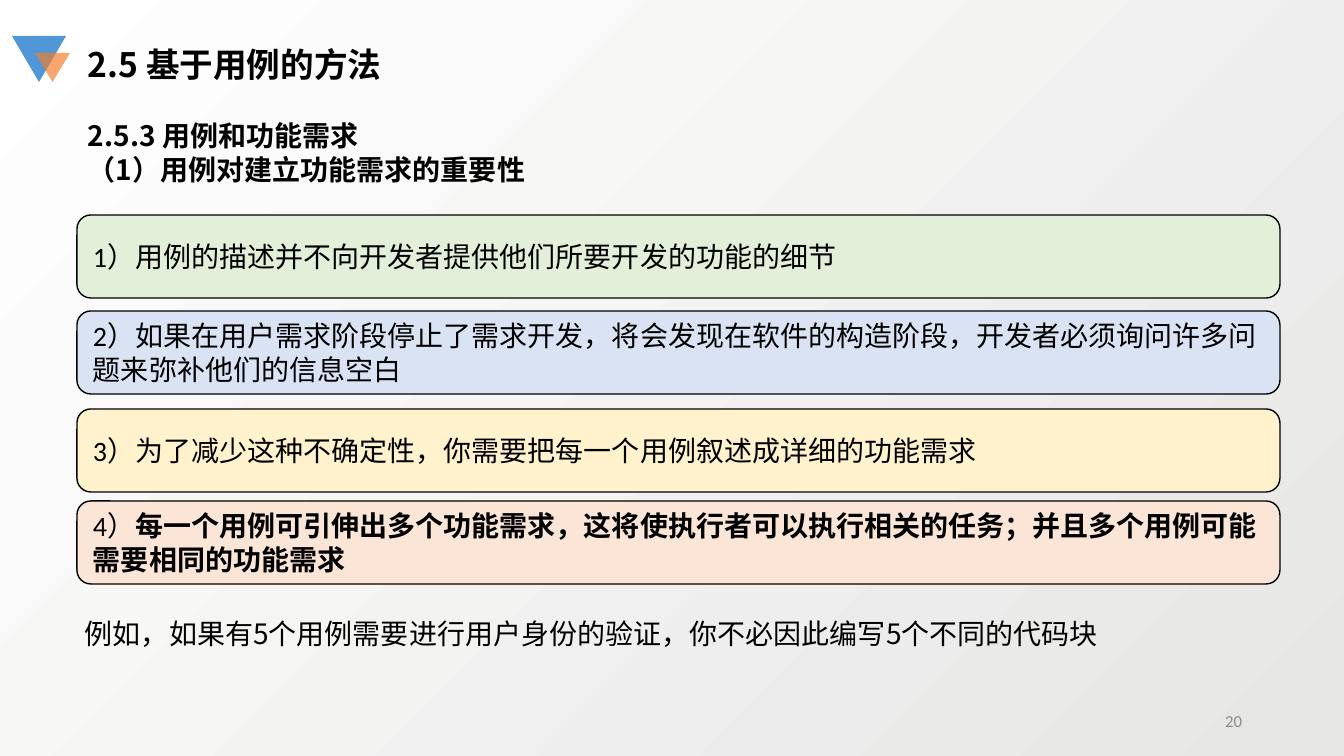
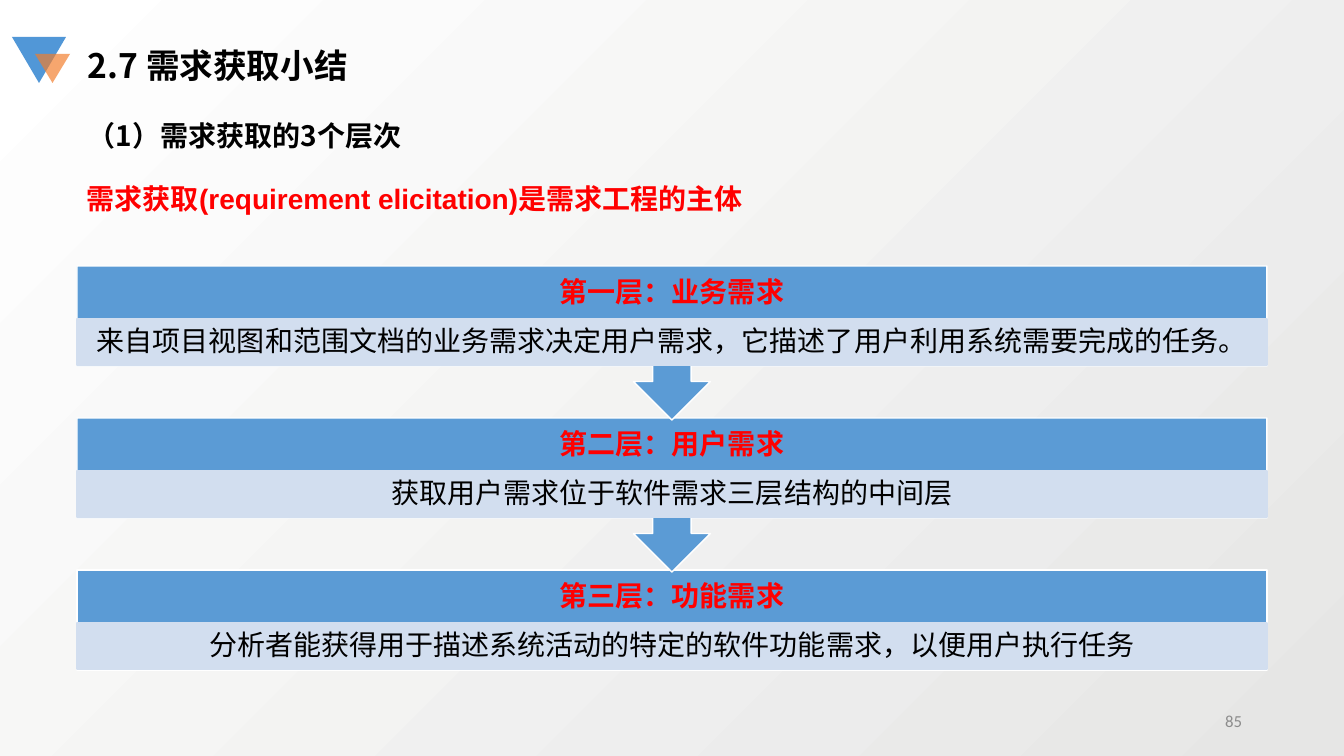
import pptx
import pptx.dml.color
import pptx.enum.shapes
import pptx.enum.text
import pptx.oxml.ns
import pptx.util
from lxml import etree

SLIDE_WIDTH, SLIDE_HEIGHT = 1344, 756
EMU_PER_PX = 12192000 / SLIDE_WIDTH

COLORS = {
    "black": "000000",
    "red": "FF0000",
    "white": "FFFFFF",
    "gray": "8C8C8C",
    "backdrop": "E6E6E5",
    "logo_blue": "5197D7",
    "logo_orange": "F37D2A",
    "green": "E2F0D9",
    "blue": "DAE3F3",
    "yellow": "FFF2CC",
    "peach": "FBE5D6",
    "layer": "5B9BD5",
    "band": "D2DEEF",
}
CJK_FONT = "Noto Sans CJK SC"
SHAPES = pptx.enum.shapes.MSO_SHAPE
ALIGN = pptx.enum.text.PP_ALIGN
MIDDLE = pptx.enum.text.MSO_ANCHOR.MIDDLE

POINTS = [
    (215, "green", "1）用例的描述并不向开发者提供他们所要开发的功能的细节", ""),
    (311, "blue", "2）如果在用户需求阶段停止了需求开发，将会发现在软件的构造阶段，"
     "开发者必须询问许多问题来弥补他们的信息空白", ""),
    (409, "yellow", "3）为了减少这种不确定性，你需要把每一个用例叙述成详细的功能需求", ""),
    (501, "peach", "4）", "每一个用例可引伸出多个功能需求，这将使执行者可以执行相关的任务；"
     "并且多个用例可能需要相同的功能需求"),
]
LAYERS = [
    ("第一层：业务需求", "来自项目视图和范围文档的业务需求决定用户需求，它描述了用户利用系统需要完成的任务。"),
    ("第二层：用户需求", "获取用户需求位于软件需求三层结构的中间层"),
    ("第三层：功能需求", "分析者能获得用于描述系统活动的特定的软件功能需求，以便用户执行任务"),
]


def px(length):
    return pptx.util.Emu(round(length * EMU_PER_PX))


def rgb(name):
    return pptx.dml.color.RGBColor.from_string(COLORS[name])


def style_paragraph(para, size=20, font=CJK_FONT, color="black", bold=False,
                    align=ALIGN.LEFT, spacing=None):
    para.alignment = align
    if spacing:
        para.line_spacing = spacing
    para.font.size = pptx.util.Pt(size)
    para.font.bold = bold
    para.font.color.rgb = rgb(color)
    para.font.name = font
    defaults = para._p.pPr.find(pptx.oxml.ns.qn("a:defRPr"))
    etree.SubElement(defaults, pptx.oxml.ns.qn("a:ea"), typeface=CJK_FONT)


def set_frame(frame, insets=None, anchor=None):
    frame.word_wrap = True
    if anchor is not None:
        frame.vertical_anchor = anchor
    if insets:
        (frame.margin_left, frame.margin_top,
         frame.margin_right, frame.margin_bottom) = map(px, insets)


def add_text(page, area, lines, anchor=None, **style):
    frame = page.shapes.add_textbox(*map(px, area)).text_frame
    set_frame(frame, anchor=anchor)
    for index, line in enumerate(lines):
        para = frame.add_paragraph() if index else frame.paragraphs[0]
        para.add_run().text = line
        style_paragraph(para, **style)


def add_box(page, kind, area, fill, line=None):
    box = page.shapes.add_shape(kind, *map(px, area))
    box.shadow.inherit = False
    box.fill.solid()
    box.fill.fore_color.rgb = rgb(fill)
    if line:
        box.line.color.rgb = rgb(line)
        box.line.width = pptx.util.Pt(1)
    else:
        box.line.fill.background()
    return box


def fill_box(box, text, insets, bold_tail="", **style):
    set_frame(box.text_frame, insets, MIDDLE)
    para = box.text_frame.paragraphs[0]
    para.add_run().text = text
    if bold_tail:
        span = para.add_run()
        span.text = bold_tail
        span.font.bold = True
    style_paragraph(para, **style)


def add_logo(page, top):
    for left, drop, width, height, fill in [(12, 0, 54, 46, "logo_blue"),
                                            (35, 17, 35, 29, "logo_orange")]:
        triangle = add_box(page, SHAPES.ISOSCELES_TRIANGLE,
                           (left, top + drop, width, height), fill)
        triangle.rotation = 180
    color = triangle._element.spPr.find(".//" + pptx.oxml.ns.qn("a:srgbClr"))
    etree.SubElement(color, pptx.oxml.ns.qn("a:alpha"), val="68000")


def add_page(deck, title, number, logo_top):
    page = deck.slides.add_slide(deck.slide_layouts[6])
    add_logo(page, logo_top)
    add_text(page, (78, logo_top + 3, 338, 50), [title], size=24, bold=True)
    add_text(page, (950, 701, 302, 40), [number], anchor=MIDDLE, size=12,
             font="Calibri", color="gray", align=ALIGN.RIGHT)
    return page


def add_layers(page):
    left, top, width, pitch = 77, 266, 1190, 152
    for index, (heading, detail) in reversed(list(enumerate(LAYERS))):
        layer_top = top + index * pitch
        is_last = index == len(LAYERS) - 1
        kind = SHAPES.RECTANGLE if is_last else SHAPES.DOWN_ARROW_CALLOUT
        layer = add_box(page, kind, (left, layer_top, width, 100 if is_last else 154),
                        "layer", "white")
        fill_box(layer, heading, (16, 16, 16, 62), font="Arial", color="red",
                 bold=True, align=ALIGN.CENTER, spacing=0.9)
        band = add_box(page, SHAPES.RECTANGLE, (left, layer_top + 53, width, 46),
                       "band", "band")
        fill_box(band, detail, (16, 3, 16, 3), font="Arial",
                 align=ALIGN.CENTER, spacing=0.9)


def set_background(deck):
    fill = deck.slide_master.background.fill
    fill.gradient()
    fill.gradient_angle = 135
    for stop, position, color in zip(fill.gradient_stops, (0, 1), ("backdrop", "white")):
        stop.position = position
        stop.color.rgb = rgb(color)


def build_use_cases(deck):
    page = add_page(deck, "2.5 基于用例的方法", "20", 36)
    add_text(page, (78, 114, 856, 78),
             ["2.5.3 用例和功能需求", "（1）用例对建立功能需求的重要性"], bold=True)
    for top, fill, text, bold_tail in POINTS:
        box = add_box(page, SHAPES.ROUNDED_RECTANGLE, (77, top, 1203, 83), fill, "black")
        fill_box(box, text, (12, 12, 12, 12), bold_tail, font="Calibri")
    add_text(page, (75, 595, 1194, 53),
             ["例如，如果有5个用例需要进行用户身份的验证，你不必因此编写5个不同的代码块"],
             spacing=1.5)


def build_summary(deck):
    page = add_page(deck, "2.7 需求获取小结", "85", 37)
    add_text(page, (78, 114, 856, 44), ["（1）需求获取的3个层次"], bold=True)
    add_text(page, (77, 160, 1190, 77),
             ["需求获取(requirement elicitation)是需求工程的主体"], anchor=MIDDLE,
             font="Arial", color="red", bold=True, align=ALIGN.JUSTIFY)
    add_layers(page)


def main():
    deck = pptx.Presentation()
    deck.slide_width, deck.slide_height = px(SLIDE_WIDTH), px(SLIDE_HEIGHT)
    set_background(deck)
    build_use_cases(deck)
    build_summary(deck)
    deck.save("out.pptx")


if __name__ == "__main__":
    main()
